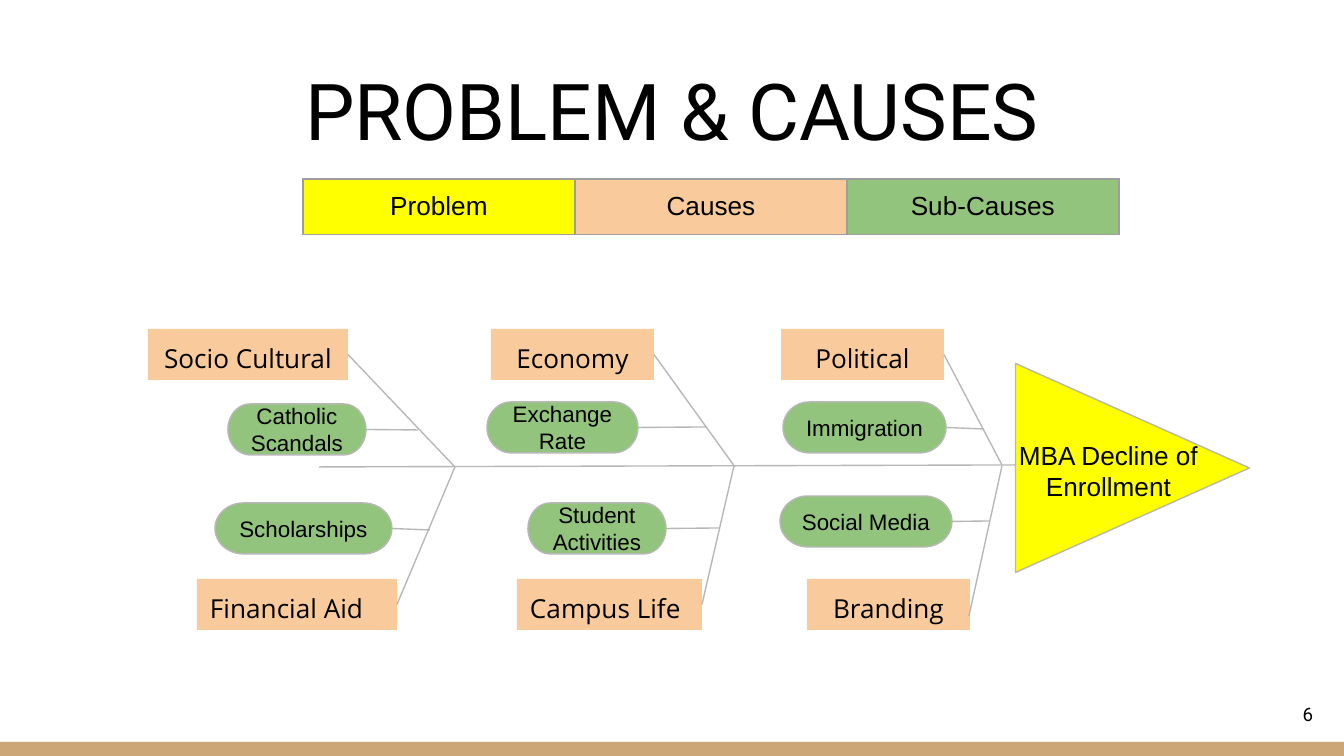
from dataclasses import dataclass

from lxml import etree
from pptx import Presentation
from pptx import util as u
from pptx.dml.color import RGBColor
from pptx.enum import shapes, text
from pptx.oxml import ns

EMU_PER_PX = 914400 / 134.4
INSET = 13
BOX_HEIGHT = 51
RIGHT_SIDE = 3
CENTER, LEFT = text.PP_ALIGN.CENTER, text.PP_ALIGN.LEFT
TOP, MIDDLE = text.MSO_ANCHOR.TOP, text.MSO_ANCHOR.MIDDLE


@dataclass(frozen=True)
class Theme:
    ink: str = "000000"
    problem: str = "FFFF00"
    cause: str = "F9CB9C"
    sub_cause: str = "93C47D"
    bone: str = "B7B7B7"
    grid: str = "9E9E9E"
    footer: str = "CCA677"
    heading: str = "Roboto"
    body: str = "Arial"
    cause_font: str = "Open Sans"
    title_size: int = 42
    label_size: int = 14
    sub_size: int = 12
    number_size: int = 10
    line_width: float = 0.75


@dataclass(frozen=True)
class Box:
    label: str
    left: int
    top: int
    width: int


@dataclass(frozen=True)
class Branch:
    cause: Box
    joint: tuple[int, int]
    sub_cause: Box
    twig_end: tuple[int, int]
    align: text.PP_ALIGN = CENTER
    bone_start: tuple[int, int] | None = None


THEME = Theme()

LEGEND = [("Problem", THEME.problem), ("Causes", THEME.cause), ("Sub-Causes", THEME.sub_cause)]

BRANCHES = [
    Branch(Box("Socio Cultural", 148, 329, 200), (455, 467),
           Box("Catholic Scandals", 228, 404, 138), (418, 430)),
    Branch(Box("Economy", 491, 329, 163), (735, 467),
           Box("Exchange Rate", 487, 402, 151), (706, 427)),
    Branch(Box("Political", 781, 329, 163), (1002, 465),
           Box("Immigration", 783, 402, 163), (984, 429)),
    Branch(Box("Financial Aid", 197, 579, 200), (455, 467),
           Box("Scholarships", 215, 503, 177), (430, 530), align=LEFT),
    Branch(Box("Campus Life", 517, 579, 185), (734, 466),
           Box("Student Activities", 528, 503, 138), (720, 528), align=LEFT),
    Branch(Box("Branding", 807, 579, 163), (1002, 466),
           Box("Social Media", 780, 496, 172), (990, 521), bone_start=(969, 616)),
]


def px(length: float) -> int:
    return round(length * EMU_PER_PX)


def color(value: str) -> RGBColor:
    return RGBColor.from_string(value)


def write(holder, words: str, *, size: int, font: str = THEME.body,
          align=CENTER, anchor=MIDDLE, inset_top: int = INSET) -> None:
    frame = holder.text_frame
    frame.word_wrap = True
    frame.auto_size = text.MSO_AUTO_SIZE.NONE
    frame.vertical_anchor = anchor
    frame.margin_left = frame.margin_right = frame.margin_bottom = px(INSET)
    frame.margin_top = px(inset_top)
    paragraph = frame.paragraphs[0]
    paragraph.alignment = align
    run = paragraph.add_run()
    run.text = words
    run.font.size = u.Pt(size)
    run.font.name = font
    run.font.color.rgb = color(THEME.ink)


def add_box(slide, kind, left: int, top: int, width: int, height: int,
            fill: str, outline: str | None = None):
    box = slide.shapes.add_shape(kind, px(left), px(top), px(width), px(height))
    box.shadow.inherit = False
    box.fill.solid()
    box.fill.fore_color.rgb = color(fill)
    if outline:
        box.line.color.rgb = color(outline)
        box.line.width = u.Pt(THEME.line_width)
    else:
        box.line.fill.background()
    return box


def add_bone(slide, start: tuple[int, int], end: tuple[int, int], source=None) -> None:
    bone = slide.shapes.add_connector(
        shapes.MSO_CONNECTOR.STRAIGHT, *map(px, start), *map(px, end))
    if source is not None:
        bone.begin_connect(source, RIGHT_SIDE)
    bone.line.color.rgb = color(THEME.bone)
    bone.line.width = u.Pt(THEME.line_width)
    etree.SubElement(bone._element.spPr, ns.qn("a:effectLst"))


def right_middle(box: Box) -> tuple[int, int]:
    return box.left + box.width, box.top + BOX_HEIGHT // 2


def add_branch(slide, branch: Branch) -> None:
    cause, sub = branch.cause, branch.sub_cause
    cause_box = add_box(slide, shapes.MSO_SHAPE.RECTANGLE, cause.left, cause.top,
                        cause.width, BOX_HEIGHT, THEME.cause)
    write(cause_box, cause.label, size=THEME.label_size, font=THEME.cause_font,
          align=branch.align, anchor=TOP)
    if branch.bone_start:
        add_bone(slide, branch.bone_start, branch.joint)
    else:
        add_bone(slide, right_middle(cause), branch.joint, cause_box)
    sub_box = add_box(slide, shapes.MSO_SHAPE.FLOWCHART_TERMINATOR, sub.left, sub.top,
                      sub.width, BOX_HEIGHT, THEME.sub_cause, THEME.bone)
    write(sub_box, sub.label, size=THEME.sub_size)
    add_bone(slide, right_middle(sub), branch.twig_end, sub_box)


def add_borders(cell) -> None:
    properties = cell._tc.get_or_add_tcPr()
    for side in ("lnL", "lnR", "lnT", "lnB"):
        border = etree.SubElement(properties, ns.qn(f"a:{side}"),
                                  w=str(int(u.Pt(THEME.line_width))))
        fill = etree.SubElement(border, ns.qn("a:solidFill"))
        etree.SubElement(fill, ns.qn("a:srgbClr"), val=THEME.grid)


def add_legend(slide) -> None:
    column_width = 272
    legend = slide.shapes.add_table(1, len(LEGEND), px(303), px(179),
                                    px(column_width * len(LEGEND)), px(53)).table
    legend.first_row = legend.horz_banding = False
    for column, (label, fill) in enumerate(LEGEND):
        legend.columns[column].width = px(column_width)
        cell = legend.cell(0, column)
        cell.margin_left = cell.margin_right = px(INSET)
        cell.margin_top = cell.margin_bottom = px(INSET)
        add_borders(cell)
        cell.fill.solid()
        cell.fill.fore_color.rgb = color(fill)
        paragraph = cell.text_frame.paragraphs[0]
        paragraph.alignment = CENTER
        run = paragraph.add_run()
        run.text = label
        run.font.size = u.Pt(THEME.label_size)
        run.font.name = THEME.body
        run.font.color.rgb = color(THEME.ink)


def main() -> None:
    deck = Presentation()
    deck.slide_width, deck.slide_height = px(1344), px(756)
    slide = deck.slides.add_slide(deck.slide_layouts.get_by_name("Title Only"))

    title = slide.shapes.title
    title.left, title.top, title.width, title.height = map(px, (46, 47, 1252, 122))
    write(title, "PROBLEM & CAUSES", size=THEME.title_size, font=THEME.heading,
          anchor=text.MSO_ANCHOR.BOTTOM)

    add_box(slide, shapes.MSO_SHAPE.RECTANGLE, 0, 742, 1344, 14, THEME.footer)
    page_number = slide.shapes.add_textbox(*map(px, (1246, 686, 80, 57)))
    write(page_number, "6", size=THEME.number_size, font=THEME.heading,
          align=text.PP_ALIGN.RIGHT)

    add_legend(slide)

    head = add_box(slide, shapes.MSO_SHAPE.ISOSCELES_TRIANGLE, 1028, 351, 209, 234,
                   THEME.problem, THEME.bone)
    head.rotation = 90
    add_bone(slide, (319, 467), (1016, 465))
    for branch in BRANCHES:
        add_branch(slide, branch)
    problem = slide.shapes.add_textbox(*map(px, (1005, 430, 207, 109)))
    write(problem, "MBA Decline of Enrollment", size=THEME.label_size,
          anchor=TOP, inset_top=9)

    deck.save("out.pptx")


if __name__ == "__main__":
    main()
